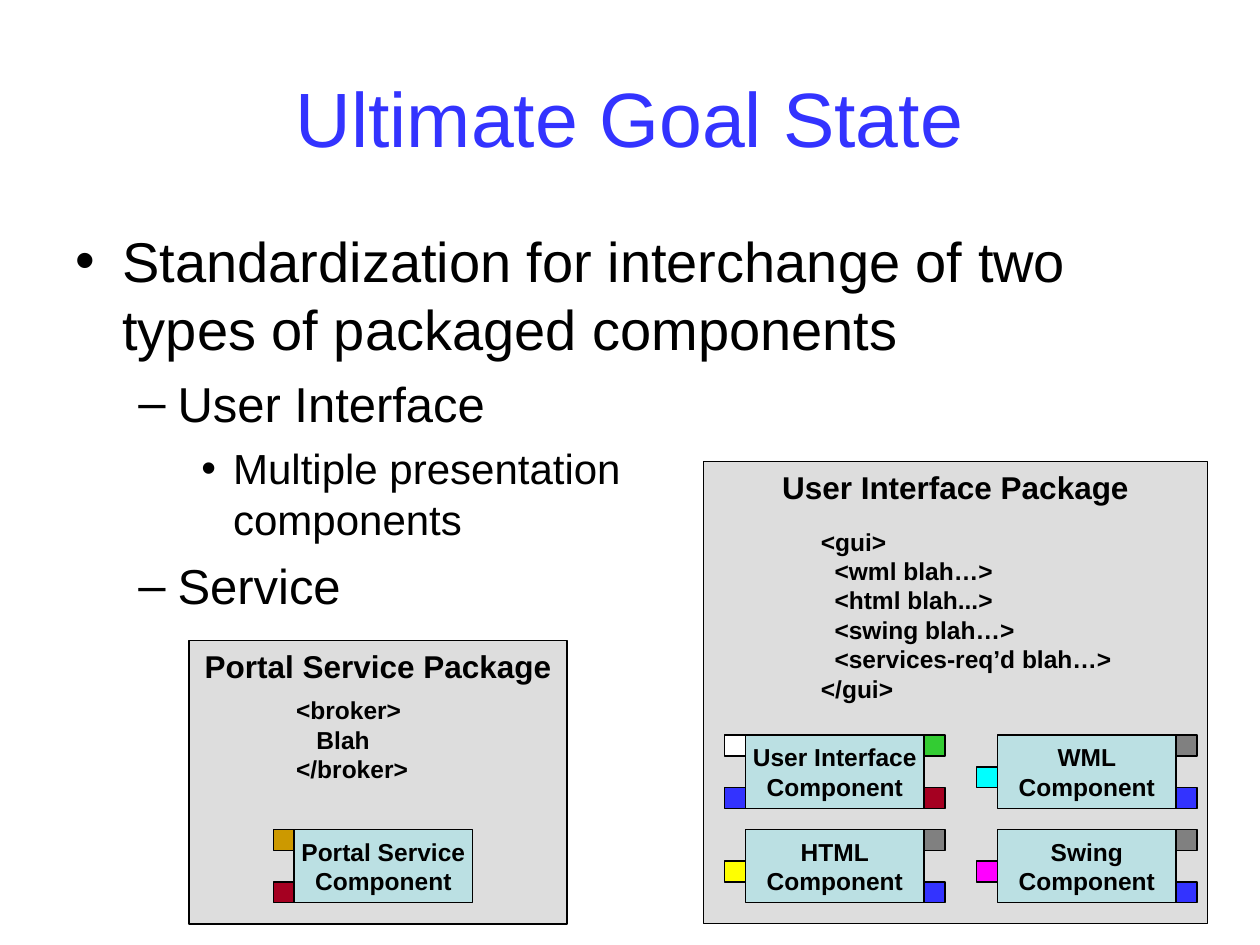
from pptx import Presentation
from pptx.dml.color import RGBColor
from pptx.enum.shapes import MSO_SHAPE
from pptx.enum.text import MSO_ANCHOR, PP_ALIGN
from pptx.oxml.ns import qn
from pptx.util import Cm, Pt
from lxml.etree import SubElement

COLORS = {
    "title": "3333FF", "black": "000000", "package": "DDDDDD",
    "component": "BBE0E3", "white": "FFFFFF", "blue": "3333FF",
    "green": "33CC33", "red": "A50021", "gold": "CC9900",
    "gray": "808080", "cyan": "00FFFF", "magenta": "FF00FF",
    "yellow": "FFFF00",
}
FONT = "Arial"

# Component boxes and the small ports on their sides, in cm
COMPONENT_WIDTH, COMPONENT_HEIGHT, PORT = 3.6, 1.48, 0.42
PORT_OFFSETS = {"top": 0, "middle": 0.64, "bottom": COMPONENT_HEIGHT - PORT}
GRID_LEFT, GRID_TOP, COLUMN_STEP, ROW_STEP = 15.03, 14.82, 5.08, 1.9

# Bullet levels: character, left margin, hanging indent, size, space before
LEVELS = [("•", 0.95, 0.95, 32, 8), ("–", 2.06, 0.79, 28, 7), ("•", 3.18, 0.64, 24, 6)]
BULLETS = [
    (0, "Standardization for interchange of two types of packaged components"),
    (1, "User Interface"),
    (2, "Multiple presentation\vcomponents"),
    (1, "Service"),
]

UI_CODE = [
    "<gui>",
    "  <wml blah…>",
    "  <html blah...>",
    "  <swing blah…>",
    "  <services-req’d blah…>",
    "</gui>",
]
SERVICE_CODE = ["<broker>", "   Blah", "</broker>"]

# Name, column, row, ports as (side, height, color)
UI_COMPONENTS = [
    ("User Interface", 0, 0, [("left", "top", "white"), ("left", "bottom", "blue"),
                              ("right", "top", "green"), ("right", "bottom", "red")]),
    ("WML", 1, 0, [("left", "middle", "cyan"), ("right", "top", "gray"),
                   ("right", "bottom", "blue")]),
    ("HTML", 0, 1, [("left", "middle", "yellow"), ("right", "top", "gray"),
                    ("right", "bottom", "blue")]),
    ("Swing", 1, 1, [("left", "middle", "magenta"), ("right", "top", "gray"),
                     ("right", "bottom", "blue")]),
]


def rgb(name):
    return RGBColor.from_string(COLORS[name])


def write_text(frame, lines, size=14, color="black", bold=False,
               align=PP_ALIGN.LEFT, anchor=MSO_ANCHOR.TOP, wrap=False):
    frame.word_wrap = wrap
    frame.vertical_anchor = anchor
    for index, line in enumerate(lines):
        paragraph = frame.add_paragraph() if index else frame.paragraphs[0]
        paragraph.text = line
        paragraph.alignment = align
        font = paragraph.font
        font.name, font.size, font.bold = FONT, Pt(size), bold
        font.color.rgb = rgb(color)


def add_box(shapes, left, top, width, height, fill):
    shape = shapes.add_shape(MSO_SHAPE.RECTANGLE, Cm(left), Cm(top), Cm(width), Cm(height))
    shape.shadow.inherit = False
    shape.fill.solid()
    shape.fill.fore_color.rgb = rgb(fill)
    shape.line.color.rgb = rgb("black")
    shape.line.width = Pt(0.75)
    return shape


def add_package(slide, name, left, top, width, height):
    shapes = slide.shapes.add_group_shape().shapes
    box = add_box(shapes, left, top, width, height, "package")
    write_text(box.text_frame, [name], size=18, bold=True, align=PP_ALIGN.CENTER)
    return shapes


def add_code(shapes, lines, left, top, width, height):
    box = shapes.add_textbox(Cm(left), Cm(top), Cm(width), Cm(height))
    write_text(box.text_frame, lines, bold=True)


def add_component(shapes, name, left, top, ports):
    box = add_box(shapes, left, top, COMPONENT_WIDTH, COMPONENT_HEIGHT, "component")
    write_text(box.text_frame, [name, "Component"], bold=True,
               align=PP_ALIGN.CENTER, anchor=MSO_ANCHOR.MIDDLE)
    for side, height, color in ports:
        port_left = left - PORT if side == "left" else left + COMPONENT_WIDTH
        add_box(shapes, port_left, top + PORT_OFFSETS[height], PORT, PORT, color)


def add_title(slide, text):
    title = slide.shapes.title
    title.left, title.top, title.width, title.height = Cm(1.27), Cm(0.76), Cm(22.86), Cm(3.18)
    write_text(title.text_frame, [text], size=44, color="title",
               align=PP_ALIGN.CENTER, anchor=MSO_ANCHOR.MIDDLE, wrap=True)


def add_bullets(slide):
    box = slide.shapes.add_textbox(Cm(1.27), Cm(4.45), Cm(22.86), Cm(12.57))
    frame = box.text_frame
    frame.word_wrap = True
    for index, (level, text) in enumerate(BULLETS):
        character, margin, hanging, size, space = LEVELS[level]
        paragraph = frame.add_paragraph() if index else frame.paragraphs[0]
        paragraph.text = text
        paragraph.level = level
        if index:
            paragraph.space_before = Pt(space)
        properties = paragraph._p.get_or_add_pPr()
        properties.set("marL", str(Cm(margin)))
        properties.set("indent", str(-Cm(hanging)))
        SubElement(properties, qn("a:buFont"), typeface=FONT)
        SubElement(properties, qn("a:buChar"), char=character)
        paragraph.font.name, paragraph.font.size = FONT, Pt(size)
        paragraph.font.color.rgb = rgb("black")


def main():
    presentation = Presentation()
    presentation.slide_width, presentation.slide_height = Cm(25.4), Cm(19.05)
    slide = presentation.slides.add_slide(presentation.slide_layouts[5])
    add_title(slide, "Ultimate Goal State")
    add_bullets(slide)

    # Portal service package
    service = add_package(slide, "Portal Service Package", 3.81, 12.91, 7.62, 5.72)
    add_component(service, "Portal Service", 5.93, GRID_TOP + ROW_STEP,
                  [("left", "top", "gold"), ("left", "bottom", "red")])
    add_code(service, SERVICE_CODE, 5.72, 13.89, 2.77, 2.03)

    # User interface package with its grid of components
    interface = add_package(slide, "User Interface Package", 14.18, 9.31, 10.16, 9.31)
    add_code(interface, UI_CODE, 16.3, 10.49, 7.83, 3.81)
    for name, column, row, ports in UI_COMPONENTS:
        add_component(interface, name, GRID_LEFT + column * COLUMN_STEP,
                      GRID_TOP + row * ROW_STEP, ports)

    presentation.save("out.pptx")


if __name__ == "__main__":
    main()
